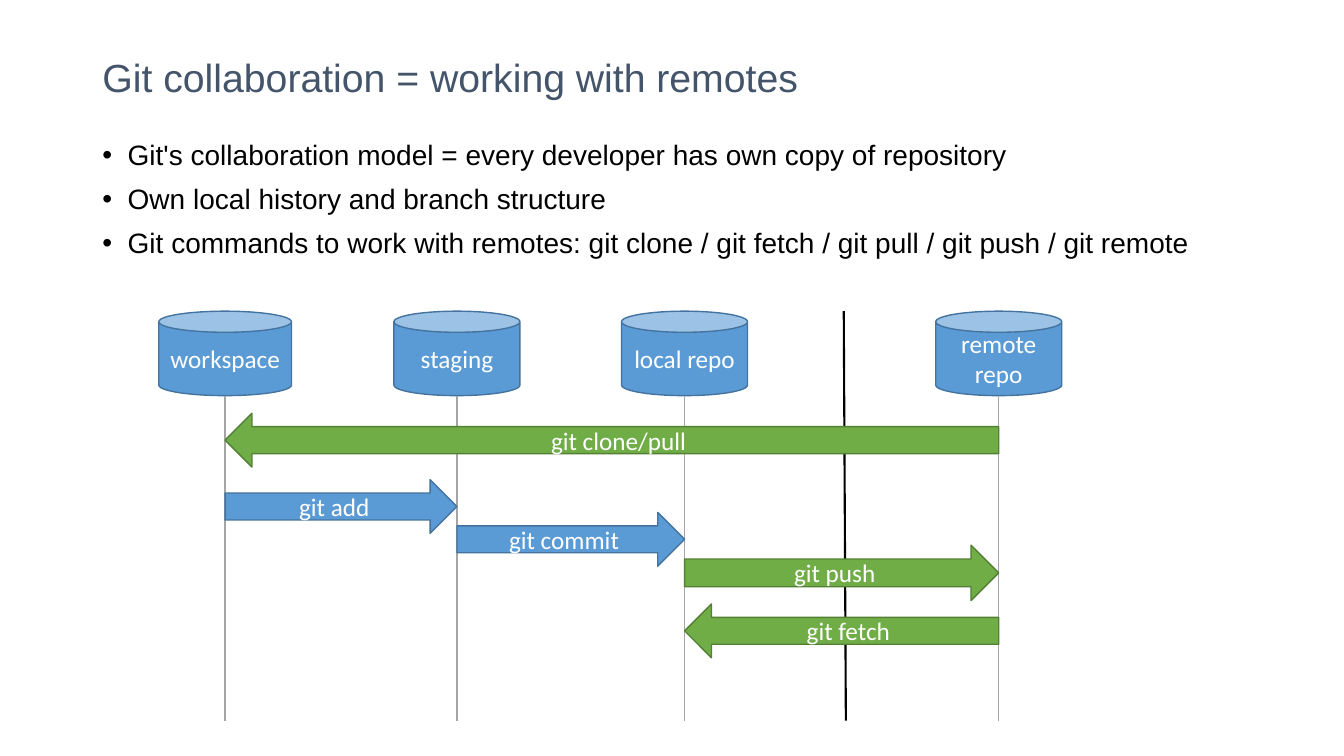
from dataclasses import dataclass

from lxml import etree
from pptx import Presentation
from pptx.dml.color import RGBColor
from pptx.enum.shapes import MSO_CONNECTOR, MSO_SHAPE
from pptx.enum.text import MSO_ANCHOR, MSO_AUTO_SIZE, PP_ALIGN
from pptx.oxml.ns import qn
from pptx.util import Inches, Pt

CAN = MSO_SHAPE.CAN
LEFT_ARROW, RIGHT_ARROW = MSO_SHAPE.LEFT_ARROW, MSO_SHAPE.RIGHT_ARROW
STRAIGHT = MSO_CONNECTOR.STRAIGHT
MIDDLE, TOP = MSO_ANCHOR.MIDDLE, MSO_ANCHOR.TOP
LEFT, CENTER = PP_ALIGN.LEFT, PP_ALIGN.CENTER
NO_FIT = MSO_AUTO_SIZE.NONE
COLS, ROWS = 160, 90


@dataclass(frozen=True)
class Theme:
    heading_font: str = "Arial"
    label_font: str = "Calibri"
    title_size: int = 28
    body_size: int = 20
    label_size: int = 18
    title: str = "44546A"
    body: str = "000000"
    label: str = "FFFFFF"
    lane: str = "A5A5A5"
    divider: str = "000000"
    local: tuple = ("5B9BD5", "43739E")
    remote: tuple = ("70AD47", "538035")


class Deck:
    def __init__(self, theme):
        self.theme = theme
        self.prs = Presentation()
        self.prs.slide_width, self.prs.slide_height = Inches(13.33), Inches(7.5)
        self.s = self.prs.slides.add_slide(self.prs.slide_layouts[1])

    def x(self, cols):
        return round(self.prs.slide_width * cols / COLS)

    def y(self, rows):
        return round(self.prs.slide_height * rows / ROWS)

    def box(self, left, top, width, height):
        return self.x(left), self.y(top), self.x(width), self.y(height)

    def run(self, p, text, font, size, color):
        r = p.add_run()
        r.text = text
        r.font.name, r.font.size = font, Pt(size)
        r.font.color.rgb = RGBColor.from_string(color)

    def placeholder(self, sp, box, anchor):
        sp.left, sp.top, sp.width, sp.height = self.box(*box)
        tf = sp.text_frame
        tf.word_wrap, tf.auto_size = True, NO_FIT
        tf.vertical_anchor = anchor
        return tf

    def title(self, text, box):
        t = self.theme
        p = self.placeholder(self.s.shapes.title, box, MIDDLE).paragraphs[0]
        p.alignment, p.line_spacing = LEFT, 0.9
        self.run(p, text, t.heading_font, t.title_size, t.title)

    def bullets(self, items, box):
        t = self.theme
        tf = self.placeholder(self.s.placeholders[1], box, TOP)
        for i, item in enumerate(items):
            p = tf.add_paragraph() if i else tf.paragraphs[0]
            p.line_spacing, p.space_before = 0.9, Pt(10)
            pPr = p._p.get_or_add_pPr()
            pPr.set("marL", str(Inches(0.25)))
            pPr.set("indent", str(-Inches(0.25)))
            etree.SubElement(pPr, qn("a:buFont")).set("typeface", t.heading_font)
            etree.SubElement(pPr, qn("a:buChar")).set("char", "•")
            self.run(p, item, t.heading_font, t.body_size, t.body)

    def shape(self, kind, text, box, colors):
        t = self.theme
        sp = self.s.shapes.add_shape(kind, *self.box(*box))
        sp.shadow.inherit = False
        fill, outline = (RGBColor.from_string(c) for c in colors)
        sp.fill.solid()
        sp.fill.fore_color.rgb = fill
        sp.line.color.rgb, sp.line.width = outline, Pt(1)
        tf = sp.text_frame
        tf.word_wrap, tf.vertical_anchor = True, MIDDLE
        p = tf.paragraphs[0]
        p.alignment = CENTER
        self.run(p, text, t.label_font, t.label_size, t.label)

    def line(self, x1, y1, x2, y2, color, width):
        ln = self.s.shapes.add_connector(
            STRAIGHT, self.x(x1), self.y(y1), self.x(x2), self.y(y2))
        ln.line.color.rgb, ln.line.width = RGBColor.from_string(color), Pt(width)
        etree.SubElement(ln._element.spPr, qn("a:effectLst"))

    def arrow(self, text, start, end, top, height, colors):
        kind = RIGHT_ARROW if end > start else LEFT_ARROW
        self.shape(kind, text, (min(start, end), top, abs(end - start), height), colors)


def main():
    theme = Theme()
    deck = Deck(theme)
    deck.title("Git collaboration = working with remotes", (11, 4.8, 138, 9.4))
    deck.bullets([
        "Git's collaboration model = every developer has own copy of repository",
        "Own local history and branch structure",
        "Git commands to work with remotes: "
        "git clone / git fetch / git pull / git push / git remote",
    ], (11, 16.2, 135, 64.8))

    store_top, store_height, lane_end = 37.05, 10.05, 85.8
    workspace, staging, local, remote = 26.8, 54.4, 81.5, 118.9
    stores = [
        ("workspace", workspace, 15.8),
        ("staging", staging, 15),
        ("local repo", local, 15),
        ("remote repo", remote, 15),
    ]
    for name, lane, width in stores:
        deck.shape(CAN, name, (lane - width / 2, store_top, width, store_height), theme.local)
    for _, lane, _ in stores:
        deck.line(lane, store_top + store_height, lane, lane_end, theme.lane, 1)
    deck.line(100.45, store_top, 100.7, lane_end, theme.divider, 1.5)

    for text, start, end, top, height, colors in [
        ("git clone/pull", remote, workspace, 49.2, 6.4, theme.remote),
        ("git push", local, remote, 64.9, 6.6, theme.remote),
        ("git fetch", remote, local, 71.9, 6.4, theme.remote),
        ("git add", workspace, staging, 57.1, 6.4, theme.local),
        ("git commit", staging, local, 61, 6.4, theme.local),
    ]:
        deck.arrow(text, start, end, top, height, colors)
    deck.prs.save("out.pptx")


if __name__ == "__main__":
    main()
